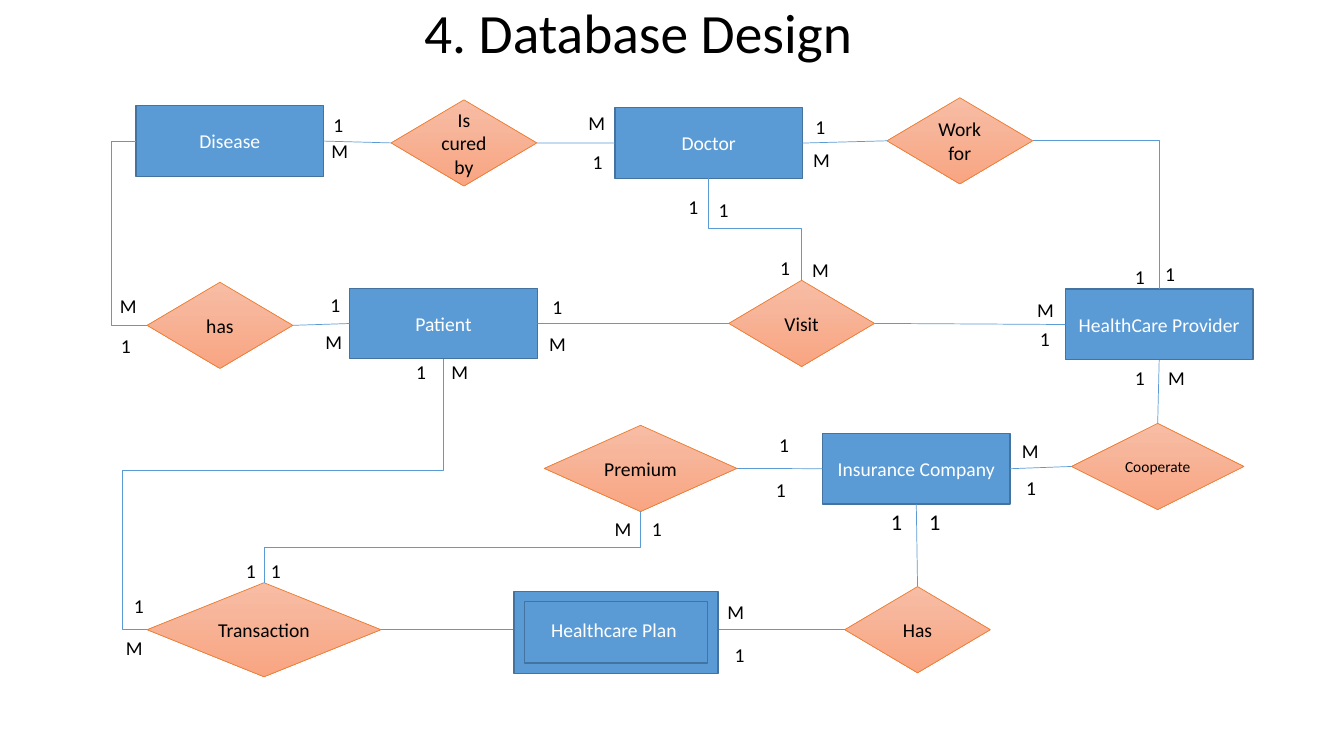
import pptx
import pptx.dml.color
import pptx.enum.dml
import pptx.enum.shapes
import pptx.enum.text
import pptx.oxml
import pptx.oxml.ns
import pptx.util

Pt = pptx.util.Pt
SHAPE = pptx.enum.shapes.MSO_SHAPE
CONNECTOR = pptx.enum.shapes.MSO_CONNECTOR
ALIGN = pptx.enum.text.PP_ALIGN
ANCHOR = pptx.enum.text.MSO_ANCHOR
AUTO_SIZE = pptx.enum.text.MSO_AUTO_SIZE

COLORS = {
    "entity": "5B9BD5", "entity_line": "43739E", "link": "5B9BD5",
    "relation_top": "F7BDA5", "relation_bottom": "F8A582",
    "relation_line": "ED7D31", "text": "000000", "entity_text": "FFFFFF",
}
SITES = {"top": 0, "left": 1, "bottom": 2, "right": 3}

# Diagram lengths are points from the diagram's left top corner.
ENTITY_SIZE = (134, 50.4)
ENTITIES = {
    "Doctor": (367.2, 17), "Patient": (177.8, 145.9),
    "HealthCare Provider": (689, 146.6), "Insurance Company": (515.5, 249.6),
    "Disease": (25.2, 15.6), "Healthcare Plan": (299.5, 364.6),
}
RELATIONS = {  # left, top, width, height, text size
    "Is cured by": (207.4, 11.3, 104, 61.6, 14),
    "has": (33.1, 141.6, 104, 61.6, 14),
    "Work for": (561.6, 9.8, 104, 61.6, 14),
    "Cooperate": (693.4, 242.4, 123.1, 61.6, 11),
    "Visit": (448.6, 140.2, 104, 61.6, 14),
    "Has": (531.4, 359, 104, 61.6, 14),
    "Transaction": (33.1, 356.2, 167, 67.2, 14),
    "Premium": (316.8, 243.8, 137.5, 61.6, 14),
}
STRAIGHT_LINKS = [
    ("HealthCare Provider", "bottom", "Cooperate", "top"),
    ("Insurance Company", "bottom", "Has", "top"),
    ("Work for", "left", "Doctor", "right"),
    ("Is cured by", "right", "Doctor", "left"),
    ("Is cured by", "left", "Disease", "right"),
    ("Insurance Company", "right", "Cooperate", "left"),
    ("Insurance Company", "left", "Premium", "right"),
    ("Visit", "right", "HealthCare Provider", "left"),
    ("has", "right", "Patient", "left"),
    ("Patient", "right", "Visit", "left"),
]
ELBOW_LINKS = [  # ends, then the lanes the middle segments run along
    ("Has", "left", "Healthcare Plan", "right", [482]),
    ("has", "left", "Disease", "left", [7.2]),
    ("Work for", "right", "HealthCare Provider", "top", []),
    ("Patient", "bottom", "Transaction", "left", [276.2, 15.1]),
    ("Healthcare Plan", "left", "Transaction", "right", [250]),
    ("Doctor", "bottom", "Visit", "top", [103.4]),
    ("Premium", "bottom", "Transaction", "top", [331]),
]
LABELS = {  # text, width, height, text size: places
    ("M", 26.6, 24.3, 14): [
        (157.7, 35.8), (313.2, 173.3), (661.7, 149.5), (341.3, 15.6), (501.1, 120.7),
        (6.5, 146.6), (153.4, 171.8), (243.4, 193.4), (440.6, 364.8), (360, 305.8),
        (10.8, 390.7), (650.9, 249.6), (755.3, 197.8), (501.8, 42.2)],
    ("1", 21.6, 24.3, 14): [
        (159.1, 17), (315.4, 147.4), (412.6, 75.4), (663.8, 169.7), (434.2, 77.5),
        (344.2, 43.7), (478.1, 119.3), (157, 145.9), (7.2, 174.7), (475.2, 277.7),
        (477.4, 246), (218.2, 193.4), (445.7, 395.8), (386.6, 305.8), (114.5, 336),
        (96.5, 336), (16.6, 360.5), (653.8, 276.2), (731.5, 197.8), (503.3, 18.5),
        (753.1, 123.6), (731.5, 125.8)],
    ("1", 23, 26.6, 16): [(584.6, 299.3), (557.3, 299.3)],
}


def rgb(name):
    return pptx.dml.color.RGBColor.from_string(COLORS[name])


def write(tf, text, size, color, para=None, frame=None):
    for name, value in (frame or {}).items():
        setattr(tf, name, value)
    p = tf.paragraphs[0]
    for name, value in (para or {}).items():
        setattr(p, name, value)
    r = p.add_run()
    r.text = text
    for name, value in {"name": "Calibri", "size": Pt(size)}.items():
        setattr(r.font, name, value)
    r.font.color.rgb = rgb(color)


def add_box(slide, preset, box, line, width):
    sp = slide.shapes.add_shape(preset, *map(Pt, box))
    sp.shadow.inherit = False
    sp.line.color.rgb = rgb(line)
    sp.line.width = Pt(width)
    return sp


def add_entity(slide, box, text="", preset=SHAPE.RECTANGLE):
    sp = add_box(slide, preset, box, "entity_line", 1)
    sp.fill.solid()
    sp.fill.fore_color.rgb = rgb("entity")
    if text:
        write(sp.text_frame, text, 14, "entity_text", {"alignment": ALIGN.CENTER},
              {"vertical_anchor": ANCHOR.MIDDLE, "word_wrap": True})
    return sp


def add_relation(slide, box, text, size):
    sp = add_box(slide, SHAPE.FLOWCHART_DECISION, box, "relation_line", 0.5)
    sp.fill.gradient()
    sp.fill.gradient_angle = 270
    for stop, name in zip(sp.fill.gradient_stops, ("relation_top", "relation_bottom")):
        stop.color.rgb = rgb(name)
    write(sp.text_frame, text, size, "text", {"alignment": ALIGN.CENTER},
          {"vertical_anchor": ANCHOR.MIDDLE, "word_wrap": True})
    return sp


def add_link(slide, kind, start, start_side, end, end_side):
    cx = slide.shapes.add_connector(kind, 0, 0, 0, 0)
    cx.begin_connect(start, SITES[start_side])
    cx.end_connect(end, SITES[end_side])
    cx.line.color.rgb = rgb("link")
    cx.line.width = Pt(0.5)
    cx.element.spPr.append(pptx.oxml.parse_xml(
        "<a:effectLst %s/>" % pptx.oxml.ns.nsdecls("a")))
    return cx


def route_elbow(cx, lanes, vertical):
    """Bend cx along lanes (slide EMU); a vertical one leaves downwards."""
    qn = pptx.oxml.ns.qn
    x1, y1, x2, y2 = cx.begin_x, cx.begin_y, cx.end_x, cx.end_y
    dx, dy = x2 - x1, y2 - y1
    spans = [(x1, dx), (y1, dy)]
    width, height = abs(dx), abs(dy)
    if vertical:
        spans.reverse()
        width, height = height, width
        turn, flip = (90, False) if dx < 0 else (270, True)
    else:
        turn, flip = (180 if dx < 0 else 0), False
    place = {"left": (x1 + x2 - width) // 2, "top": (y1 + y2 - height) // 2,
             "width": width, "height": height}
    for name, value in place.items():
        setattr(cx, name, value)

    xfrm = cx.element.spPr.find(qn("a:xfrm"))
    for name, value in {"rot": turn * 60000, "flipH": int(flip), "flipV": 0}.items():
        xfrm.set(name, str(value))
    geom = cx.element.spPr.find(qn("a:prstGeom"))
    geom.set("prst", f"bentConnector{len(lanes) + 2}")
    for old in geom.findall(qn("a:avLst")):
        geom.remove(old)
    guides = "".join(
        f'<a:gd name="adj{i}" fmla="val {round((lane - at) / span * 100000)}"/>'
        for i, (lane, (at, span)) in enumerate(zip(lanes, spans), 1))
    geom.append(pptx.oxml.parse_xml(
        f'<a:avLst {pptx.oxml.ns.nsdecls("a")}>{guides}</a:avLst>'))


def add_labels(slide, left, top):
    for (text, width, height, size), places in LABELS.items():
        for x, y in places:
            box = slide.shapes.add_textbox(*map(Pt, (left + x, top + y, width, height)))
            write(box.text_frame, text, size, "text",
                  frame={"word_wrap": False, "auto_size": AUTO_SIZE.SHAPE_TO_FIT_TEXT})


def add_title(slide, box):
    title = slide.shapes.title
    for name, value in zip(("left", "top", "width", "height"), box):
        setattr(title, name, Pt(value))
    write(title.text_frame, "4. Database Design", 39.6, "text",
          {"alignment": ALIGN.CENTER, "line_spacing": 0.9},
          {"vertical_anchor": ANCHOR.MIDDLE, "word_wrap": True,
           "auto_size": AUTO_SIZE.NONE})


def add_diagram(slide, left, top):
    nodes = {}
    for name, (x, y) in ENTITIES.items():
        nodes[name] = add_entity(slide, (left + x, top + y, *ENTITY_SIZE), name)
    for name, (x, y, w, h, size) in RELATIONS.items():
        nodes[name] = add_relation(slide, (left + x, top + y, w, h), name, size)
    for start, side, end, end_side in STRAIGHT_LINKS:
        add_link(slide, CONNECTOR.STRAIGHT, nodes[start], side, nodes[end], end_side)
    for start, side, end, end_side, lanes in ELBOW_LINKS:
        cx = add_link(slide, CONNECTOR.ELBOW, nodes[start], side, nodes[end], end_side)
        vertical = side == "bottom"
        origins = (top, left) if vertical else (left, top)
        route_elbow(cx, [Pt(o + lane) for o, lane in zip(origins, lanes)], vertical)

    x, y = ENTITIES["Healthcare Plan"]
    frame = add_entity(slide, (left + x - 4.3, top + y - 2, 145.6, 58.4),
                       preset=SHAPE.FRAME)
    slide.shapes.add_group_shape([nodes["Healthcare Plan"], frame])
    add_labels(slide, left, top)


def main():
    prs = pptx.Presentation()
    prs.slide_width, prs.slide_height = Pt(960), Pt(540)
    slide = prs.slides.add_slide(prs.slide_layouts[5])
    add_title(slide, (41.8, 3.6, 828, 43.9))
    add_diagram(slide, 72, 60)
    prs.save("out.pptx")


if __name__ == "__main__":
    main()
